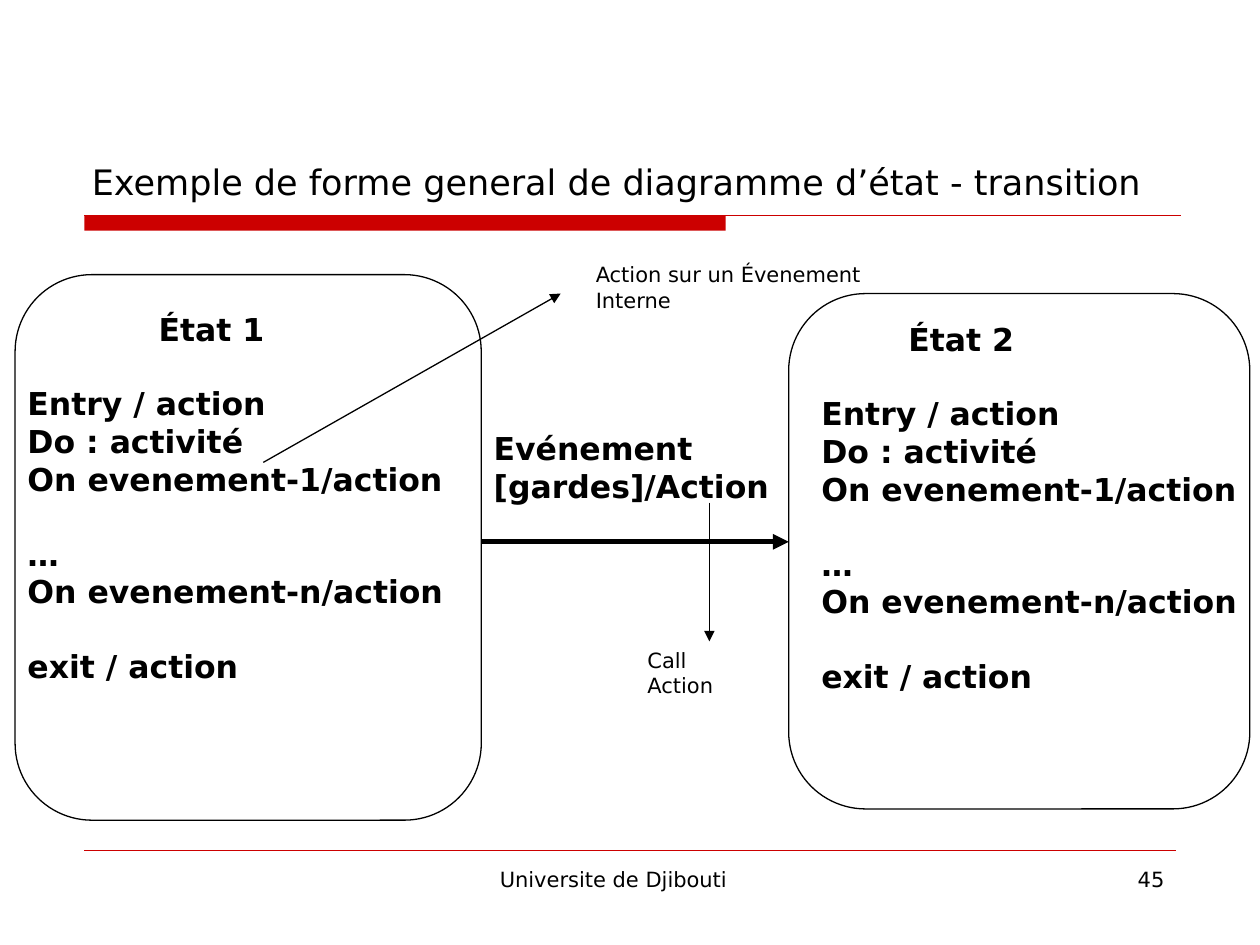
from dataclasses import dataclass

from lxml.etree import SubElement
from pptx import Presentation
from pptx.dml.color import RGBColor
from pptx.enum.shapes import MSO_CONNECTOR, MSO_SHAPE
from pptx.enum.text import MSO_ANCHOR, PP_ALIGN
from pptx.oxml.ns import qn
from pptx.util import Inches, Pt

FONT = "DejaVu Sans"
BLACK, WHITE, RED = "000000", "FFFFFF", "CC0000"
CORNER_RADIUS = 0.61
LINE_GAP = 21


@dataclass
class Line:
    text: str
    space_before: float = 0
    indent: float = 0


@dataclass
class Label:
    box: tuple[float, float, float, float]
    lines: list[Line]
    size: float = 12
    bold: bool = False
    align: PP_ALIGN = PP_ALIGN.LEFT
    anchor: MSO_ANCHOR = MSO_ANCHOR.TOP
    right_inset: float = 0.1


@dataclass
class State:
    name: str
    outline: tuple[float, float, float, float]
    text_box: tuple[float, float, float, float]
    name_indent: float


@dataclass
class Connection:
    start: tuple[float, float]
    end: tuple[float, float]
    width: float = 0.75
    color: str = BLACK
    arrow: bool = True


STATES = [
    State("État 2", (6.26, 2.33, 3.66, 4.09), (6.42, 2.49, 3.78, 4), 0.69),
    State("État 1", (0.12, 2.18, 3.7, 4.33), (0.12, 2.41, 3.86, 4), 1.04),
]
STATE_BODY = [
    Line("Entry / action", LINE_GAP),
    Line("Do : activité"),
    Line("On evenement-1/action"),
    Line("…", LINE_GAP),
    Line("On evenement-n/action"),
    Line("exit / action", LINE_GAP),
]
RULES = [
    Connection((0.67, 1.71), (9.37, 1.71), color=RED, arrow=False),
    Connection((0.67, 6.75), (9.33, 6.75), 0.25, RED, False),
]
ARROWS = [
    Connection((3.82, 4.3), (6.26, 4.3), 3),
    Connection((2.09, 3.67), (4.45, 2.33)),
    Connection((5.63, 3.99), (5.63, 5.09)),
]
LABELS = [
    Label((0.63, 0.33, 8.75, 1.33),
          [Line("Exemple de forme general de diagramme d’état - transition")],
          size=20, anchor=MSO_ANCHOR.BOTTOM),
    Label((3.82, 3.36, 2.6, 0.7), [Line("Evénement"), Line("[gardes]/Action")],
          size=18, bold=True),
    Label((4.63, 2.03, 2.78, 0.3), [Line("Action sur un Évenement Interne")]),
    Label((5.04, 5.09, 1.02, 0.3), [Line("Call Action")]),
    Label((3.42, 6.83, 3.17, 0.52), [Line("Universite de Djibouti")],
          align=PP_ALIGN.CENTER, right_inset=0.37),
    Label((7.17, 6.83, 2.17, 0.52), [Line("45")], align=PP_ALIGN.RIGHT),
]


def color_of(value: str) -> RGBColor:
    return RGBColor.from_string(value)


def add_label(slide, label: Label) -> None:
    frame = slide.shapes.add_textbox(*map(Inches, label.box)).text_frame
    frame.word_wrap = True
    frame.vertical_anchor = label.anchor
    frame.margin_right = Inches(label.right_inset)
    for index, line in enumerate(label.lines):
        paragraph = frame.add_paragraph() if index else frame.paragraphs[0]
        paragraph.alignment = label.align
        if line.space_before:
            paragraph.space_before = Pt(line.space_before)
        if line.indent:
            paragraph._p.get_or_add_pPr().set("marL", str(Inches(line.indent)))
        run = paragraph.add_run()
        run.text = line.text
        run.font.name = FONT
        run.font.size = Pt(label.size)
        run.font.bold = label.bold
        run.font.color.rgb = color_of(BLACK)


def add_connection(slide, connection: Connection) -> None:
    connector = slide.shapes.add_connector(
        MSO_CONNECTOR.STRAIGHT,
        *map(Inches, connection.start + connection.end))
    connector.line.width = Pt(connection.width)
    connector.line.color.rgb = color_of(connection.color)
    if connection.arrow:
        SubElement(connector.line._get_or_add_ln(), qn("a:tailEnd"), type="triangle")
    SubElement(connector._element.spPr, qn("a:effectLst"))


def add_title_bar(slide) -> None:
    bar = slide.shapes.add_shape(
        MSO_SHAPE.RECTANGLE, *map(Inches, (0.67, 1.71, 5.09, 0.12)))
    bar.shadow.inherit = False
    bar.fill.solid()
    bar.fill.fore_color.rgb = color_of(RED)
    bar.line.fill.background()


def add_state_outline(slide, state: State) -> None:
    shape = slide.shapes.add_shape(
        MSO_SHAPE.ROUNDED_RECTANGLE, *map(Inches, state.outline))
    shape.adjustments[0] = CORNER_RADIUS / min(state.outline[2:])
    shape.shadow.inherit = False
    shape.fill.solid()
    shape.fill.fore_color.rgb = color_of(WHITE)
    shape.line.color.rgb = color_of(BLACK)
    shape.line.width = Pt(0.75)


def add_state_text(slide, state: State) -> None:
    heading = Line(state.name, indent=state.name_indent)
    add_label(slide, Label(state.text_box, [heading, *STATE_BODY], 18, True))


def main() -> None:
    presentation = Presentation()
    presentation.slide_width = Inches(10)
    presentation.slide_height = Inches(7.5)
    slide = presentation.slides.add_slide(presentation.slide_layouts[6])
    add_title_bar(slide)
    for rule in RULES:
        add_connection(slide, rule)
    for state in STATES:
        add_state_outline(slide, state)
    for state in STATES:
        add_state_text(slide, state)
    for arrow in ARROWS:
        add_connection(slide, arrow)
    for label in LABELS:
        add_label(slide, label)
    presentation.save("out.pptx")


if __name__ == "__main__":
    main()
